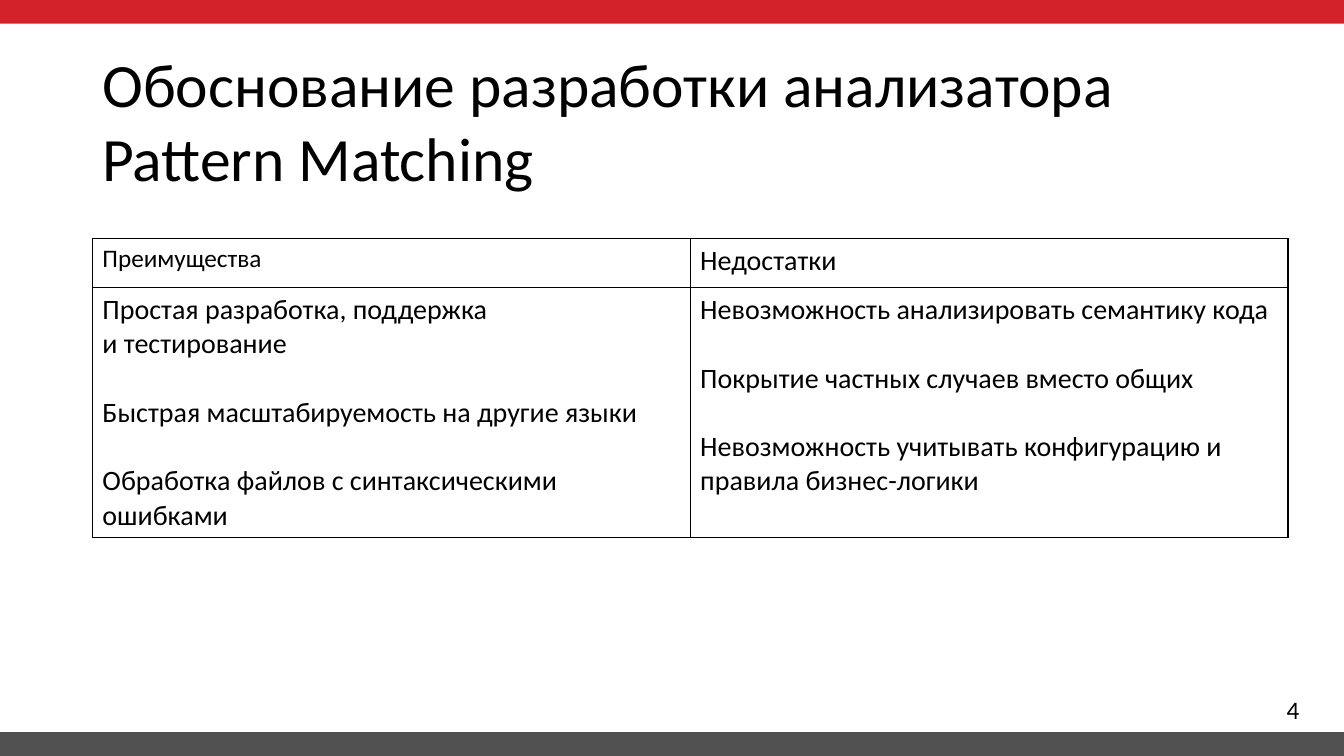
from dataclasses import dataclass

from lxml.etree import SubElement
from pptx import Presentation
from pptx.dml.color import RGBColor as RGB
from pptx.enum.shapes import MSO_SHAPE as Shape
from pptx.oxml.ns import qn
from pptx.util import Pt


@dataclass(frozen=True)
class Theme:
    font: str = "Calibri"
    ink: str = "000000"
    red: str = "D3232A"
    gray: str = "515151"
    title: int = 44
    body: int = 20
    small: int = 18


theme = Theme()


def write(frame, entries):
    for i, (text, size, gap) in enumerate(entries):
        paragraph = frame.paragraphs[0] if i == 0 else frame.add_paragraph()
        paragraph.text = text
        paragraph.space_before = Pt(gap)
        paragraph.font.name = theme.font
        paragraph.font.size = Pt(size)
        paragraph.font.bold = False
        paragraph.font.color.rgb = RGB.from_string(theme.ink)


def draw_borders(cell):
    properties = cell._tc.get_or_add_tcPr()
    for side in ("lnL", "lnR", "lnT", "lnB"):
        line = SubElement(properties, qn(f"a:{side}"), w=str(Pt(1)))
        fill = SubElement(line, qn("a:solidFill"))
        SubElement(fill, qn("a:srgbClr"), val=theme.ink)


deck = Presentation()
deck.slide_width, deck.slide_height = Pt(960), Pt(540)
slide = deck.slides.add_slide(deck.slide_layouts[6])

band_height = 17
for top, color in ((0, theme.red), (540 - band_height, theme.gray)):
    band = slide.shapes.add_shape(Shape.RECTANGLE, 0, Pt(top), Pt(960), Pt(band_height))
    band.shadow.inherit = False
    band.fill.solid()
    band.fill.fore_color.rgb = RGB.from_string(color)
    band.line.fill.background()

labels = (
    ("Обоснование разработки анализатора Pattern Matching", theme.title, (66, 29, 828, 104)),
    ("4", theme.small, (912, 492.5, 47.5, 29)),
)
for text, size, bounds in labels:
    label = slide.shapes.add_textbox(*map(Pt, bounds)).text_frame
    label.word_wrap = True
    write(label, [(text, size, 0)])

item_gap = 24.4
columns = (
    ("Преимущества", theme.small, (
        ("Простая разработка, поддержка", 0),
        ("и тестирование", 0),
        ("Быстрая масштабируемость на другие языки", item_gap),
        ("Обработка файлов с синтаксическими ошибками", item_gap),
    )),
    ("Недостатки", theme.body, (
        ("Невозможность анализировать семантику кода", 0),
        ("Покрытие частных случаев вместо общих", item_gap),
        ("Невозможность учитывать конфигурацию и правила бизнес-логики", item_gap),
    )),
)
row_heights = (35.3, 178.5)
comparison = slide.shapes.add_table(
    2, 2, Pt(66), Pt(170.3), Pt(854), Pt(sum(row_heights))).table
comparison.first_row = False
comparison.horz_banding = False
for row, height in zip(comparison.rows, row_heights):
    row.height = Pt(height)

for index, (heading, heading_size, points) in enumerate(columns):
    comparison.columns[index].width = Pt(427)
    write(comparison.cell(0, index).text_frame, [(heading, heading_size, 0)])
    write(comparison.cell(1, index).text_frame,
          [(point, theme.body, gap) for point, gap in points])

for cell in comparison.iter_cells():
    draw_borders(cell)
    cell.fill.background()

deck.save("out.pptx")
